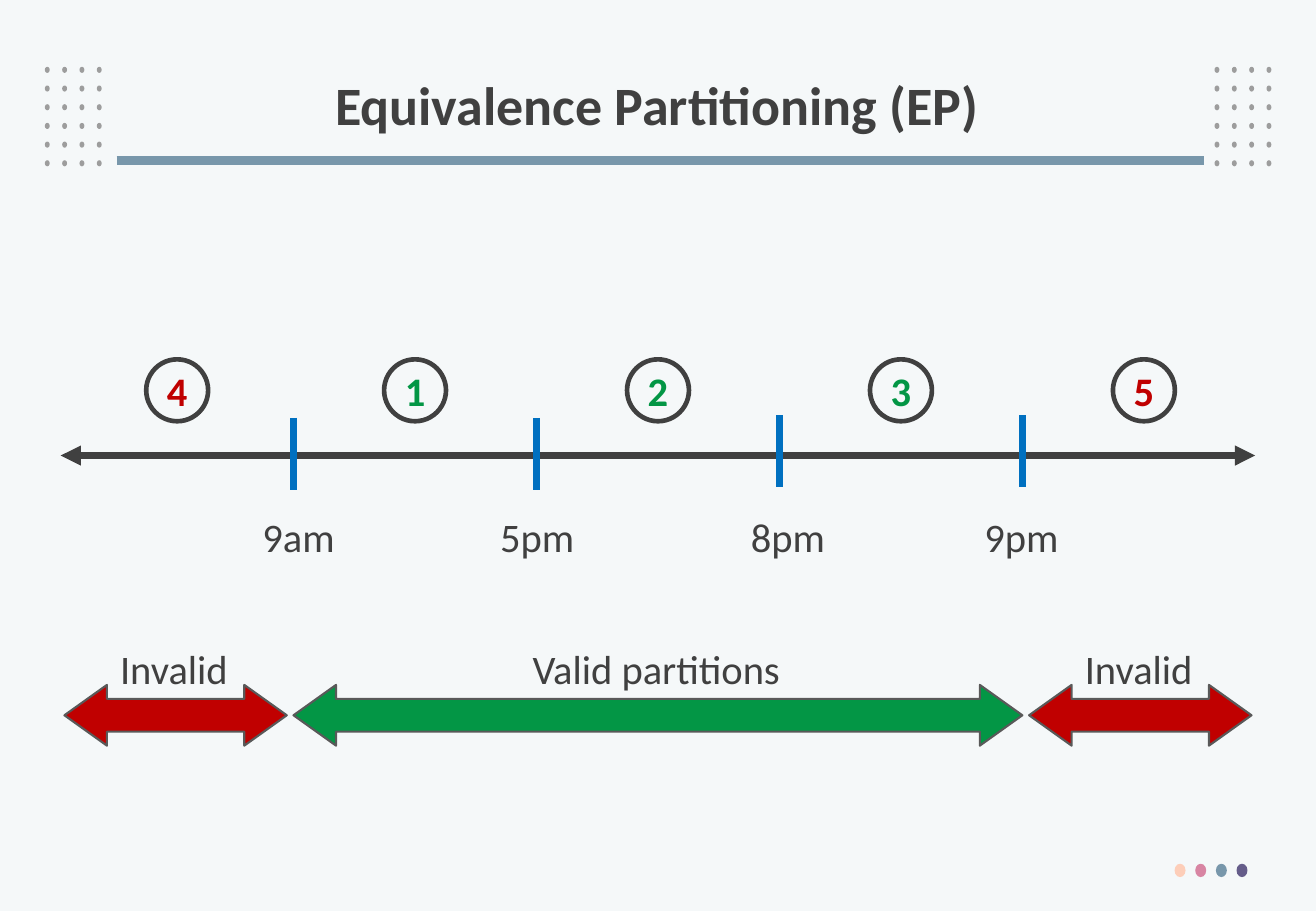
from dataclasses import dataclass
from itertools import product
from lxml.etree import SubElement
from pptx import Presentation
from pptx.dml.color import RGBColor
from pptx.enum.shapes import MSO_CONNECTOR, MSO_SHAPE
from pptx.enum.text import MSO_ANCHOR, PP_ALIGN
from pptx.oxml.ns import qn
from pptx.util import Pt


@dataclass(frozen=True)
class Theme:
    font: str = "Calibri"
    head: int = 32
    body: int = 24
    back: str = "F5F8F9"
    ink: str = "404040"
    edge: str = "595959"
    dot: str = "9D9D9D"
    rule: str = "7897AB"
    tick: str = "0070C0"
    good: str = "039645"
    bad: str = "C00000"
    row: tuple = ("FDCEB9", "D885A3", "7897AB", "655D8A")


@dataclass(frozen=True)
class Box:
    left: float
    top: float
    width: float
    height: float

    def place(self):
        return [Pt(round(n, 2)) for n in (self.left, self.top, self.width, self.height)]


THEME = Theme()


def tint(code):
    return RGBColor.from_string(code)


def write(frame, words, size=THEME.body, color=THEME.ink, bold=False,
          anchor=MSO_ANCHOR.TOP, margin=None, spacing=None):
    frame.word_wrap = True
    frame.vertical_anchor = anchor
    if margin is not None:
        frame.margin_left = frame.margin_right = Pt(margin)
        frame.margin_top = frame.margin_bottom = Pt(margin)
    line = frame.paragraphs[0]
    line.alignment = PP_ALIGN.CENTER
    line.line_spacing = spacing
    run = line.add_run()
    run.text = words
    run.font.name = THEME.font
    run.font.size = Pt(size)
    run.font.bold = bold
    run.font.color.rgb = tint(color)


def label(slide, words, mid, top, width):
    box = Box(mid - width / 2, top, width, 36)
    write(slide.shapes.add_textbox(*box.place()).text_frame, words)


def shape(slide, kind, box, fill=None, line=None, weight=1):
    item = slide.shapes.add_shape(kind, *box.place())
    item.shadow.inherit = False
    if fill:
        item.fill.solid()
        item.fill.fore_color.rgb = tint(fill)
    else:
        item.fill.background()
    if line:
        item.line.color.rgb = tint(line)
        item.line.width = Pt(weight)
    else:
        item.line.fill.background()
    return item


def stroke(slide, x1, y1, x2, y2, color, weight, heads=False):
    ends = [Pt(round(n, 2)) for n in (x1, y1, x2, y2)]
    item = slide.shapes.add_connector(MSO_CONNECTOR.STRAIGHT, *ends)
    item.line.color.rgb = tint(color)
    item.line.width = Pt(weight)
    if heads:
        for end in ("a:headEnd", "a:tailEnd"):
            SubElement(item.line._get_or_add_ln(), qn(end), type="triangle")
    SubElement(item._element.spPr, qn("a:effectLst"))


def dot_grid(slide, box):
    wide, high = 2.9, 3.6
    for col, row in product(range(4), range(6)):
        left = box.left + col * (box.width - wide) / 3
        top = box.top + row * (box.height - high) / 5
        shape(slide, MSO_SHAPE.OVAL, Box(left, top, wide, high), THEME.dot)


def header(slide, box):
    dot_grid(slide, Box(box.left, box.top, 33.7, 59))
    dot_grid(slide, Box(box.left + box.width - 33.7, box.top, 33.7, 59))
    base = box.top + 55.4
    stroke(slide, box.left + 42.6, base, box.left + box.width - 40, base, THEME.rule, 5.25)
    title = slide.shapes.title
    area = Box(box.left + 26.6, box.top - 10.8, 672.5, 70.6)
    title.left, title.top, title.width, title.height = area.place()
    write(title.text_frame, "Equivalence Partitioning (EP)", size=THEME.head,
          bold=True, anchor=MSO_ANCHOR.MIDDLE, spacing=0.9)


def timeline(slide, box):
    axis, first, step = box.top + 57, box.left + 138, 144
    stroke(slide, box.left, axis, box.left + box.width, axis, THEME.ink, 4, heads=True)
    times = (("9am", 3, 0), ("5pm", 0.5, 0), ("8pm", 5, -1.5), ("9pm", -0.5, -1.5))
    for i, (time, shift, lift) in enumerate(times):
        x = first + i * step
        stroke(slide, x, axis - 22.3 + lift, x, axis + 20.2 + lift, THEME.tick, 4)
        label(slide, time, x + shift, box.top + 87.2, 80)
    size = 36.7
    for i, mark in enumerate("41235"):
        mid = first + (i - 0.5) * step + (3 if i == 0 else 0)
        ring = shape(slide, MSO_SHAPE.OVAL, Box(mid - size / 2, box.top, size, size),
                     line=THEME.ink, weight=2.75)
        color = THEME.bad if mark in "45" else THEME.good
        write(ring.text_frame, mark, color=color, bold=True,
              anchor=MSO_ANCHOR.MIDDLE, margin=0)


def ranges(slide, box):
    side, gap = 131.8, 4
    spans = (("Invalid", side, THEME.bad),
             ("Valid partitions", box.width - 2 * (side + gap), THEME.good),
             ("Invalid", side, THEME.bad))
    left = box.left
    for words, width, color in spans:
        arrow = shape(slide, MSO_SHAPE.LEFT_RIGHT_ARROW,
                      Box(left, box.top + 28, width, 36), color, THEME.edge, 1.25)
        arrow.adjustments[0], arrow.adjustments[1] = 0.54, 0.7
        label(slide, words, left + width / 2 - 1, box.top, min(width, 200))
        left += width + gap


def footer(slide, box):
    size = 6.5
    for i, color in enumerate(THEME.row):
        left = box.left + i * (box.width - size) / 3
        shape(slide, MSO_SHAPE.OVAL, Box(left, box.top, size, box.height), color)


def main():
    deck = Presentation()
    deck.slide_width, deck.slide_height = Pt(780), Pt(540)
    slide = deck.slides.add_slide(deck.slide_layouts[5])
    slide.background.fill.solid()
    slide.background.fill.fore_color.rgb = tint(THEME.back)
    header(slide, Box(26.6, 39.6, 727, 59))
    timeline(slide, Box(36, 213, 708, 123))
    ranges(slide, Box(38.2, 378, 703.6, 64))
    footer(slide, Box(696.2, 512, 43.2, 7.9))
    deck.save("out.pptx")


if __name__ == "__main__":
    main()
